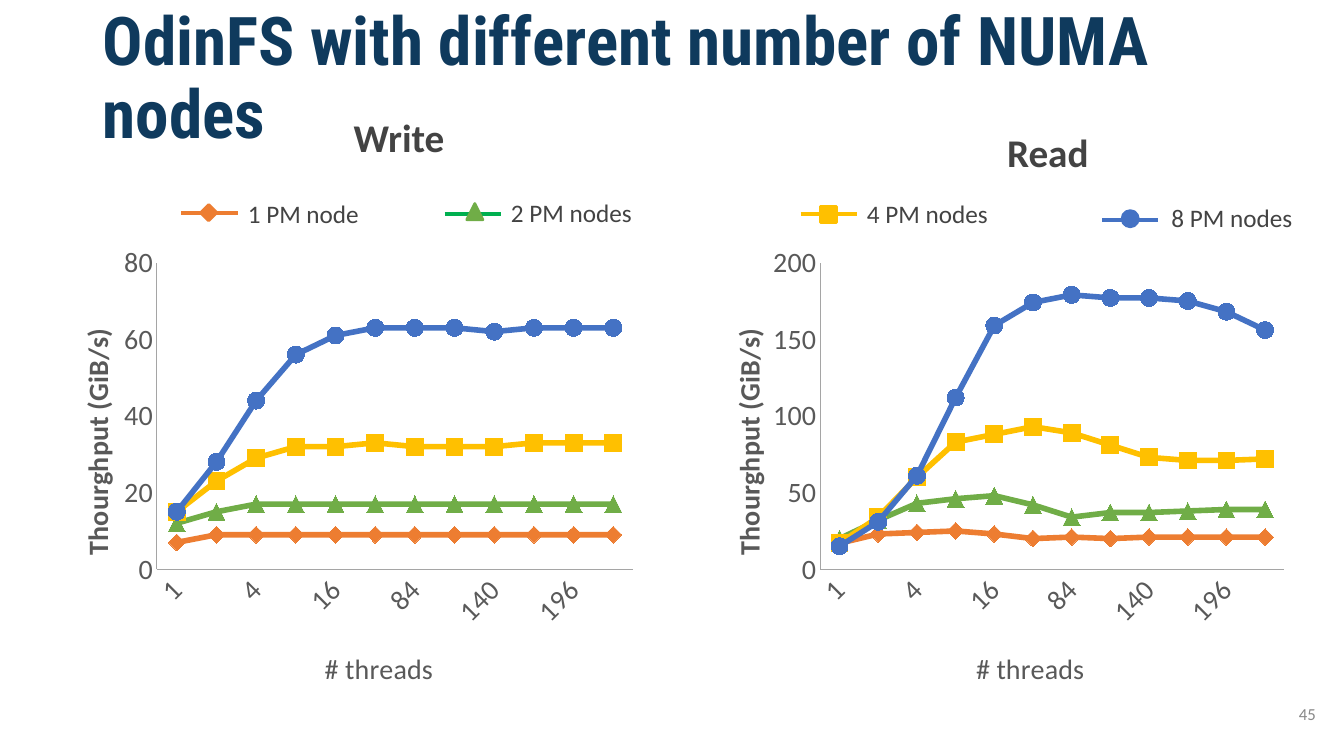
from dataclasses import dataclass

from lxml import etree
from pptx import Presentation, util as u
from pptx.chart.chart import Chart
from pptx.chart.data import CategoryChartData
from pptx.dml.color import RGBColor
from pptx.enum import chart as charts, shapes, text
from pptx.oxml import ns
from pptx.slide import Slide

PX = 9144
FONT = "Calibri"
COLORS = {
    "orange": "ED7D31", "green": "70AD47", "key_green": "00B050",
    "yellow": "FFC000", "blue": "4472C4", "title": "0F3A5D",
    "heading": "434343", "axis_text": "595959", "axis_line": "A5A5A5",
    "number": "888888",
}
THREADS = ["1", "2", "4", "8", "16", "56", "84", "112", "140", "168", "196", "224"]


@dataclass
class Label:
    words: str
    left: int
    top: int
    width: int
    height: int
    size: int
    color: str
    bold: bool = False
    font: str = FONT
    align: text.PP_ALIGN = text.PP_ALIGN.LEFT
    anchor: text.MSO_ANCHOR = text.MSO_ANCHOR.TOP
    spacing: float = 1.0


@dataclass
class Key:
    words: str
    line_left: int
    line_top: int
    line_color: str
    marker: shapes.MSO_SHAPE
    marker_left: int
    marker_top: int
    color: str
    label_left: int
    label_top: int


@dataclass
class Panel:
    left: int
    plot_left: float
    plot_width: float
    maximum: int
    step: int
    throughput: list[list[int]]


@dataclass
class NodeStyle:
    color: str
    marker: charts.XL_MARKER_STYLE


LABELS = [
    Label("45", 1235, 680, 80, 57, 12, "number",
          align=text.PP_ALIGN.RIGHT, anchor=text.MSO_ANCHOR.MIDDLE),
    Label("OdinFS with different number of NUMA nodes", 92, 36, 1163, 87, 48,
          "title", True, "Roboto Condensed", anchor=text.MSO_ANCHOR.MIDDLE, spacing=0.9),
    Label("Read", 989, 122, 123, 57, 28, "heading", True),
    Label("Write", 341, 108, 123, 57, 28, "heading", True),
]
KEYS = [
    Key("1 PM node", 180, 211, "orange", shapes.MSO_SHAPE.DIAMOND, 199, 203, "orange", 236, 192),
    Key("2 PM nodes", 441, 212, "key_green", shapes.MSO_SHAPE.ISOSCELES_TRIANGLE,
        463, 202, "green", 497, 191),
    Key("4 PM nodes", 794, 212, "yellow", shapes.MSO_SHAPE.RECTANGLE, 814, 205, "yellow", 850, 192),
    Key("8 PM nodes", 1093, 218, "blue", shapes.MSO_SHAPE.OVAL, 1113, 209, "blue", 1152, 196),
]
NODES = [
    NodeStyle("orange", charts.XL_MARKER_STYLE.DIAMOND),
    NodeStyle("green", charts.XL_MARKER_STYLE.TRIANGLE),
    NodeStyle("yellow", charts.XL_MARKER_STYLE.SQUARE),
    NodeStyle("blue", charts.XL_MARKER_STYLE.CIRCLE),
]
PANELS = [
    Panel(42, 0.19, 0.79, 80, 20, [
        [7] + [9] * 11,
        [12, 15] + [17] * 10,
        [15, 23, 29, 32, 32, 33, 32, 32, 32, 33, 33, 33],
        [15, 28, 44, 56, 61, 63, 63, 63, 62, 63, 63, 63],
    ]),
    Panel(688, 0.21, 0.77, 200, 50, [
        [17, 23, 24, 25, 23, 20, 21, 20, 21, 21, 21, 21],
        [20, 32, 43, 46, 48, 42, 34, 37, 37, 38, 39, 39],
        [17, 34, 60, 83, 88, 93, 89, 81, 73, 71, 71, 72],
        [15, 31, 61, 112, 159, 174, 179, 177, 177, 175, 168, 156],
    ]),
]


def rgb(name: str) -> RGBColor:
    return RGBColor.from_string(COLORS[name])


def add_label(slide: Slide, label: Label) -> None:
    box = slide.shapes.add_textbox(
        *(v * PX for v in (label.left, label.top, label.width, label.height)))
    frame = box.text_frame
    frame.word_wrap = True
    frame.vertical_anchor = label.anchor
    paragraph = frame.paragraphs[0]
    paragraph.alignment = label.align
    paragraph.line_spacing = label.spacing
    run = paragraph.add_run()
    run.text = label.words
    run.font.name = label.font
    run.font.size = u.Pt(label.size)
    run.font.bold = label.bold
    run.font.color.rgb = rgb(label.color)


def add_key(slide: Slide, key: Key) -> None:
    line = slide.shapes.add_connector(
        shapes.MSO_CONNECTOR.STRAIGHT, key.line_left * PX, key.line_top * PX,
        (key.line_left + 56) * PX, key.line_top * PX)
    line.line.color.rgb = rgb(key.line_color)
    line.line.width = u.Pt(3)
    etree.SubElement(line._element.spPr, ns.qn("a:effectLst"))
    marker = slide.shapes.add_shape(
        key.marker, key.marker_left * PX, key.marker_top * PX, 16 * PX, 16 * PX)
    marker.shadow.inherit = False
    marker.fill.solid()
    marker.fill.fore_color.rgb = rgb(key.color)
    marker.line.color.rgb = rgb(key.color)
    marker.line.width = u.Pt(2)
    add_label(slide, Label(key.words, key.label_left, key.label_top, 143, 40, 18, "heading"))


def set_layout(parent: etree._Element, index: int, **place: float | str) -> None:
    for old in parent.findall(ns.qn("c:layout")):
        parent.remove(old)
    layout = etree.Element(ns.qn("c:layout"))
    manual = etree.SubElement(layout, ns.qn("c:manualLayout"))
    for tag, value in place.items():
        etree.SubElement(manual, ns.qn(f"c:{tag}")).set("val", str(value))
    parent.insert(index, layout)


def style_axes(chart: Chart) -> None:
    for axis, words, bold, x, y in (
        (chart.category_axis, "# threads", False, 0.46, 0.88),
        (chart.value_axis, "Thourghput (GiB/s)", True, 0.05, 0.19),
    ):
        axis.has_major_gridlines = False
        axis.major_tick_mark = charts.XL_TICK_MARK.NONE
        axis.minor_tick_mark = charts.XL_TICK_MARK.NONE
        axis.format.line.color.rgb = rgb("axis_line")
        axis.format.line.width = u.Pt(0.75)
        run = axis.axis_title.text_frame.paragraphs[0].add_run()
        run.text = words
        for font in (axis.tick_labels.font, run.font):
            font.name = FONT
            font.size = u.Pt(20)
            font.color.rgb = rgb("axis_text")
        run.font.bold = bold
        set_layout(axis._element.find(ns.qn("c:title")), 1,
                   xMode="edge", yMode="edge", x=x, y=y)
    threads = chart.category_axis._element
    threads.find(f"{ns.qn('c:txPr')}/{ns.qn('a:bodyPr')}").set("rot", "-2700000")
    skip = etree.Element(ns.qn("c:tickLblSkip"))
    skip.set("val", "2")
    threads.find(ns.qn("c:noMultiLvlLbl")).addprevious(skip)
    throughput = chart.value_axis.axis_title.text_frame._txBody.find(ns.qn("a:bodyPr"))
    throughput.set("rot", "-5400000")
    throughput.set("vert", "horz")


def add_panel(slide: Slide, panel: Panel) -> None:
    data = CategoryChartData()
    data.categories = THREADS
    for number, values in enumerate(panel.throughput, 1):
        data.add_series(f"Series {number}", values)
    chart = slide.shapes.add_chart(
        charts.XL_CHART_TYPE.LINE_MARKERS, panel.left * PX, 233 * PX,
        598 * PX, 461 * PX, data).chart
    chart.has_legend = False
    chart.has_title = False
    chart.font.name = FONT
    chart.font.size = u.Pt(20)
    chart.plots[0].vary_by_categories = False
    chart.value_axis.minimum_scale = 0
    chart.value_axis.maximum_scale = panel.maximum
    chart.value_axis.major_unit = panel.step
    style_axes(chart)
    set_layout(chart._chartSpace.chart.plotArea, 0, layoutTarget="inner",
               xMode="edge", yMode="edge", x=panel.plot_left, y=0.06,
               w=panel.plot_width, h=0.66)
    for series, node in zip(chart.plots[0].series, NODES):
        series.smooth = False
        series.format.line.color.rgb = rgb(node.color)
        series.format.line.width = u.Pt(4)
        series.marker.style = node.marker
        series.marker.size = 12
        series.marker.format.fill.solid()
        series.marker.format.fill.fore_color.rgb = rgb(node.color)
        series.marker.format.line.color.rgb = rgb(node.color)


def main() -> None:
    deck = Presentation()
    deck.slide_width, deck.slide_height = 1333 * PX, 750 * PX
    slide = deck.slides.add_slide(deck.slide_layouts[6])
    for label in LABELS:
        add_label(slide, label)
    for panel in PANELS:
        add_panel(slide, panel)
    for key in KEYS:
        add_key(slide, key)
    deck.save("out.pptx")


if __name__ == "__main__":
    main()
